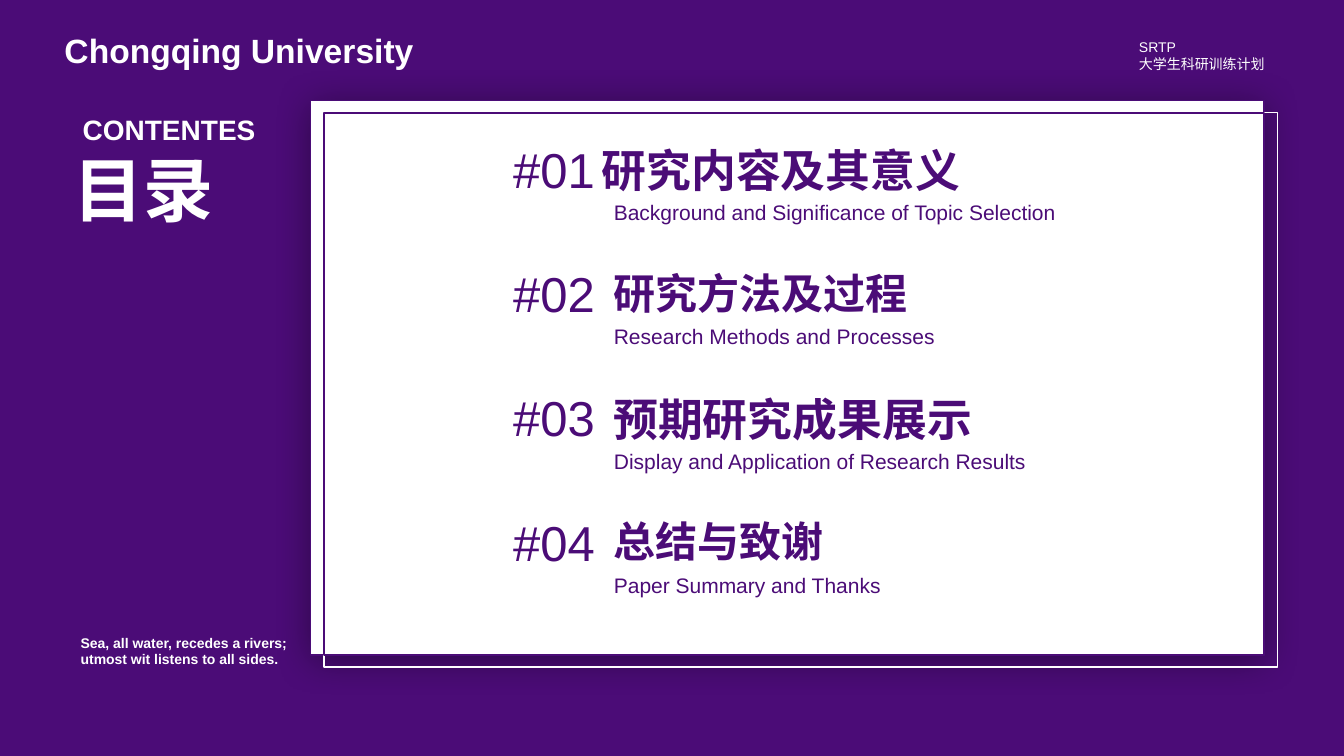
from lxml import etree
from pptx import Presentation
from pptx.dml.color import RGBColor
from pptx.enum import shapes, text
from pptx.oxml import ns
from pptx.util import Pt

PURPLE = RGBColor(0x4B, 0x0C, 0x77)
WHITE = RGBColor(0xFF, 0xFF, 0xFF)
FONT = "Arial"

CHAPTERS = [
    # number, heading, heading size, heading left, heading width, subtitle, subtitle width
    ("#01", "研究内容及其意义", 32, 429.8, 258.5, "Background and Significance of Topic Selection", 319.7),
    ("#02", "研究方法及过程", 30, 438.5, 212.4, "Research Methods and Processes", 232.6),
    ("#03", "预期研究成果展示", 32, 438.1, 258.5, "Display and Application of Research Results", 301.7),
    ("#04", "总结与致谢", 30, 438.5, 151.9, "Paper Summary and Thanks", 193.7),
]
LABELS = [
    # lines, left, top, width, height, size, bold
    (["Chongqing University"], 46.1, 21.6, 269.3, 28.8, 24, True),
    (["SRTP", "大学生科研训练计划"], 813.6, 27.4, 97.9, 24.5, 10, False),
    (["CONTENTES"], 59, 80.6, 124.6, 24.5, 20, True),
    (["目录"], 52.6, 104.4, 101.5, 60.5, 50, True),
    (["Sea, all water, recedes a rivers;", "utmost wit listens to all sides."],
     57.6, 452.9, 149, 24.5, 10, True),
]
CARD_LEFT, CARD_TOP, CARD_WIDTH, CARD_HEIGHT = 222, 72, 681, 396
FRAME_LEFT, FRAME_TOP = 231.6, 80.6
NUMBER_LEFT, SUBTITLE_LEFT = 366.5, 438.5
CHAPTER_TOP, CHAPTER_PITCH = 99.4, 88.8
HEADING_DROP, SUBTITLE_DROP = 2.6, 43.2


def add_rectangle(slide, left, top, width, height, line, fill=None):
    shape = slide.shapes.add_shape(
        shapes.MSO_SHAPE.RECTANGLE, Pt(left), Pt(top), Pt(width), Pt(height))
    shape.shadow.inherit = False
    if fill is None:
        shape.fill.background()
    else:
        shape.fill.solid()
        shape.fill.fore_color.rgb = fill
    shape.line.color.rgb = line
    shape.line.width = Pt(1)
    return shape


def add_soft_shadow(shape):
    effects = shape.element.spPr.find(ns.qn("a:effectLst"))
    shadow = etree.SubElement(
        effects, ns.qn("a:outerShdw"), blurRad=str(Pt(27)), dist=str(Pt(3)),
        dir="5400000", algn="t", rotWithShape="0")
    color = etree.SubElement(shadow, ns.qn("a:srgbClr"), val="000000")
    etree.SubElement(color, ns.qn("a:alpha"), val="40000")


def add_text(slide, lines, left, top, width, height, size, bold, color):
    frame = slide.shapes.add_textbox(Pt(left), Pt(top), Pt(width), Pt(height)).text_frame
    frame.margin_left = frame.margin_right = frame.margin_top = frame.margin_bottom = 0
    frame.word_wrap = False
    frame.vertical_anchor = text.MSO_ANCHOR.TOP
    for index, line in enumerate(lines):
        paragraph = frame.add_paragraph() if index else frame.paragraphs[0]
        paragraph.alignment = text.PP_ALIGN.LEFT
        run = paragraph.add_run()
        run.text = line
        run.font.name = FONT
        run.font.size = Pt(size)
        run.font.bold = bold
        run.font.color.rgb = color


def main():
    presentation = Presentation()
    presentation.slide_width, presentation.slide_height = Pt(960), Pt(540)
    slide = presentation.slides.add_slide(presentation.slide_layouts[6])
    slide.background.fill.solid()
    slide.background.fill.fore_color.rgb = PURPLE

    card = add_rectangle(slide, CARD_LEFT, CARD_TOP, CARD_WIDTH, CARD_HEIGHT, PURPLE, WHITE)
    add_soft_shadow(card)
    add_rectangle(slide, FRAME_LEFT, FRAME_TOP, CARD_WIDTH, CARD_HEIGHT, WHITE)
    add_rectangle(slide, FRAME_LEFT, FRAME_TOP, CARD_LEFT + CARD_WIDTH - FRAME_LEFT,
                  CARD_TOP + CARD_HEIGHT - FRAME_TOP, PURPLE)

    for label in LABELS:
        add_text(slide, *label, WHITE)

    for index, chapter in enumerate(CHAPTERS):
        number, heading, size, heading_left, heading_width, subtitle, subtitle_width = chapter
        top = CHAPTER_TOP + index * CHAPTER_PITCH
        add_text(slide, [number], NUMBER_LEFT, top, 59, 42.5, 35, False, PURPLE)
        add_text(slide, [heading], heading_left, top + HEADING_DROP,
                 heading_width, size * 1.2, size, True, PURPLE)
        add_text(slide, [subtitle], SUBTITLE_LEFT, top + SUBTITLE_DROP,
                 subtitle_width, 18, 15, False, PURPLE)

    presentation.save("out.pptx")


if __name__ == "__main__":
    main()
